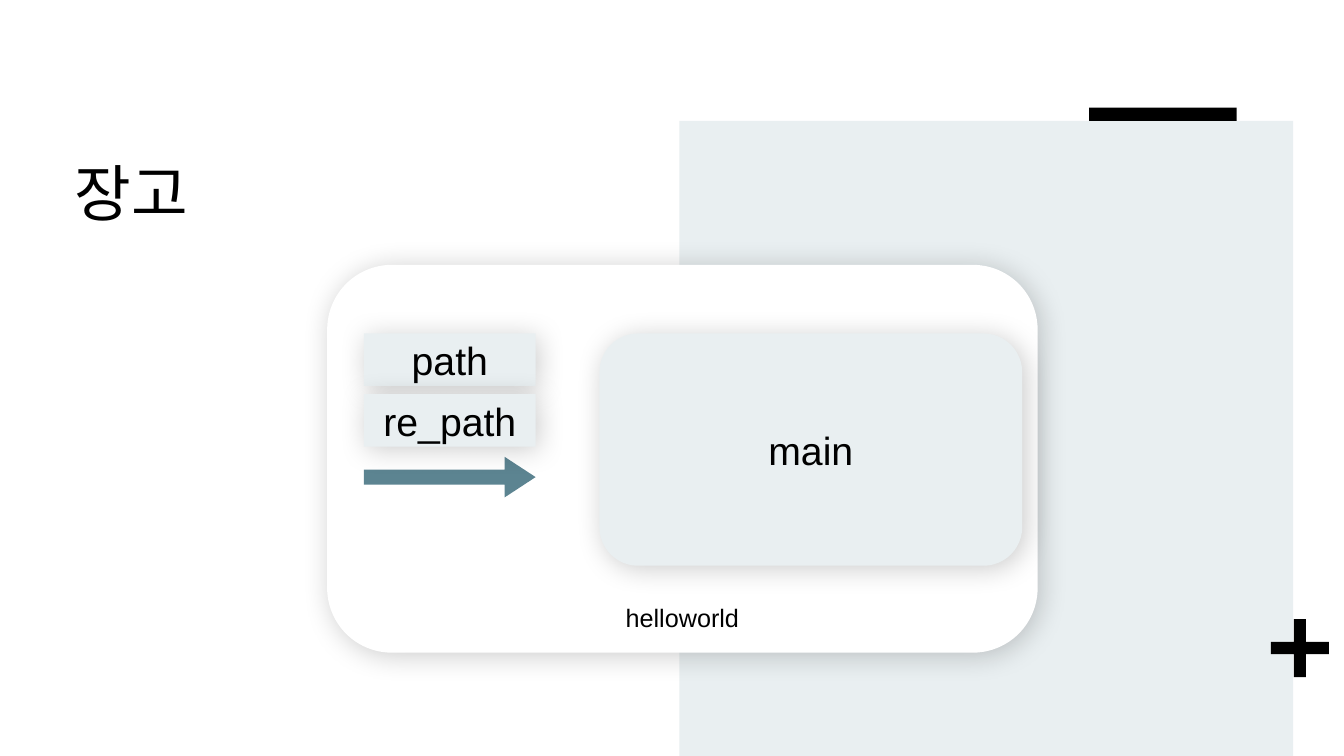
import pptx
import pptx.util
import pptx.dml.color
import pptx.enum.shapes
import pptx.enum.text
import pptx.oxml
import pptx.oxml.ns

Pt = pptx.util.Pt
SHAPE = pptx.enum.shapes.MSO_SHAPE
ANCHOR = pptx.enum.text.MSO_ANCHOR
ALIGN = pptx.enum.text.PP_ALIGN

COLORS = {"black": "000000", "white": "FFFFFF", "pale": "E9EFF1", "teal": "5C8491"}
FONT = "Arial"

SHADOW = (
    f'<a:effectLst {pptx.oxml.ns.nsdecls("a")}>'
    f'<a:outerShdw blurRad="{Pt(20)}" dist="{Pt(3)}" dir="2700000" algn="tl" rotWithShape="0">'
    f'<a:srgbClr val="{COLORS["black"]}"><a:alpha val="20000"/></a:srgbClr>'
    '</a:outerShdw></a:effectLst>'
)


def rgb(name):
    return pptx.dml.color.RGBColor.from_string(COLORS[name])


def add_run(p, text, size):
    r = p.add_run()
    r.text = text
    r.font.name = FONT
    r.font.size = Pt(size)
    r.font.color.rgb = rgb("black")
    return r


def add_block(s, kind, box, color, adjustments=()):
    sp = s.shapes.add_shape(kind, *map(Pt, box))
    sp.shadow.inherit = False
    sp.fill.solid()
    sp.fill.fore_color.rgb = rgb(color)
    sp.line.fill.background()
    for i, value in enumerate(adjustments):
        sp.adjustments[i] = value
    return sp


def add_card(s, kind, box, color, text=None):
    sp = add_block(s, kind, box, color)
    spPr = sp._element.spPr
    spPr.remove(spPr.find(pptx.oxml.ns.qn("a:effectLst")))
    spPr.append(pptx.oxml.parse_xml(SHADOW))
    if text:
        tf = sp.text_frame
        tf.vertical_anchor = ANCHOR.MIDDLE
        p = tf.paragraphs[0]
        p.alignment = ALIGN.CENTER
        add_run(p, text, 28)


def add_caption(s, box, text):
    tf = s.shapes.add_textbox(*map(Pt, box)).text_frame
    tf.word_wrap = False
    tf.auto_size = pptx.enum.text.MSO_AUTO_SIZE.SHAPE_TO_FIT_TEXT
    p = tf.paragraphs[0]
    p.alignment = ALIGN.CENTER
    add_run(p, text, 18)


def set_title(s, box, text):
    sp = s.shapes.title
    s.shapes._spTree.append(sp._element)  # in front of the backdrop
    sp.left, sp.top, sp.width, sp.height = map(Pt, box)
    tf = sp.text_frame
    tf.vertical_anchor = ANCHOR.TOP
    tf.margin_left = tf.margin_top = tf.margin_right = Pt(8.64)
    tf.margin_bottom = Pt(7.2)
    p = tf.paragraphs[0]
    p.alignment = ALIGN.LEFT
    p.line_spacing = 1.14
    r = add_run(p, text, 44)
    r._r.get_or_add_rPr().set("spc", "50")


def main():
    prs = pptx.Presentation()
    prs.slide_width, prs.slide_height = Pt(960), Pt(540)
    s = prs.slides.add_slide(prs.slide_layouts[5])

    # Backdrop
    add_block(s, SHAPE.RECTANGLE, (485.3, 86.4, 438.5, 453.6), "pale")
    add_block(s, SHAPE.CROSS, (907.8, 442.2, 41.4, 41.4), "black", [0.395])
    add_block(s, SHAPE.RECTANGLE, (778, 76.8, 105.4, 9.6), "black")

    set_title(s, (44.6, 95, 651, 113.8), "장고")

    # Project container and its app
    add_card(s, SHAPE.ROUNDED_RECTANGLE, (233.7, 189.2, 507.5, 277), "white")
    add_card(s, SHAPE.ROUNDED_RECTANGLE, (428.2, 238.2, 302, 165.9), "pale", "main")
    add_caption(s, (434.9, 427, 105, 29), "helloworld")

    # Routes leading to the app
    left, width = 260, 122.6
    add_block(s, SHAPE.RIGHT_ARROW, (left, 326.3, width, 29), "teal", [0.368, 0.764])
    for i, route in enumerate(["path", "re_path"]):
        add_card(s, SHAPE.RECTANGLE, (left, 238.2 + 43.4 * i, width, 37.4), "pale", route)

    prs.save("out.pptx")


if __name__ == "__main__":
    main()
